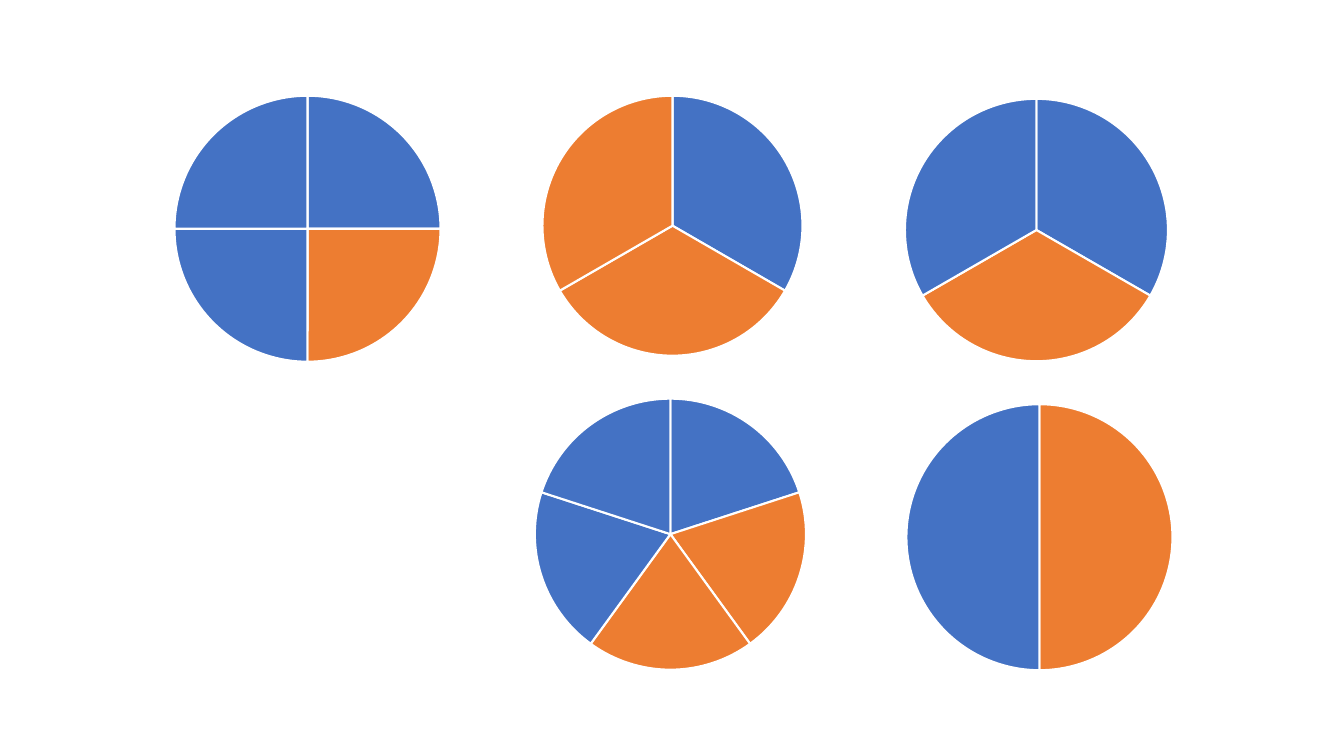
from lxml.etree import SubElement
from pptx import Presentation
from pptx.chart.data import CategoryChartData as ChartData
from pptx.dml.color import RGBColor
from pptx.enum.chart import XL_CHART_TYPE as Kind
from pptx.oxml.ns import qn
from pptx.util import Inches, Pt

BLUE, ORANGE, WHITE, BLACK = "4472C4", "ED7D31", "FFFFFF", "000000"
# frame (left, top, width, height), circle (centre x, centre y, diameter), share, slice colours
PIES = [
    ((1.59, 0.79, 2.91, 2.96), (3.05, 2.27, 2.64), 25, [BLUE, ORANGE, BLUE, BLUE]),
    ((5.16, 0.67, 3.02, 2.96), (6.67, 2.24, 2.58), 33, [BLUE, ORANGE, ORANGE]),
    ((8.7, 0.97, 2.99, 2.66), (10.28, 2.28, 2.61), 33, [BLUE, ORANGE, BLUE]),
    ((5.16, 3.82, 2.99, 2.96), (6.65, 5.3, 2.69), 20, [BLUE, ORANGE, ORANGE, BLUE, BLUE]),
    ((8.68, 3.87, 3.25, 2.91), (10.31, 5.33, 2.64), 50, [ORANGE, BLUE]),
]


def color(code):
    return RGBColor.from_string(code)


def place(chart, frame, circle):
    """Set the inner plot area so that the pie fills the given circle."""
    left, top, width, height = frame
    mid_x, mid_y, size = circle
    area = chart._chartSpace.chart.plotArea
    for old in area.findall(qn("c:layout")):
        area.remove(old)
    layout = SubElement(area, qn("c:layout"))
    area.insert(0, layout)
    manual = SubElement(layout, qn("c:manualLayout"))
    parts = {
        "layoutTarget": "inner", "xMode": "edge", "yMode": "edge",
        "x": (mid_x - size / 2 - left) / width,
        "y": (mid_y - size / 2 - top) / height,
        "w": size / width, "h": size / height,
    }
    for name, value in parts.items():
        SubElement(manual, qn("c:" + name)).set("val", str(value))


def add_pie(slide, frame, circle, share, colors):
    data = ChartData()
    data.categories = [str(n + 1) for n in range(len(colors))]
    data.add_series("Series 1", [share] * len(colors))
    chart = slide.shapes.add_chart(Kind.PIE, *map(Inches, frame), data).chart
    chart.has_title = chart.has_legend = False
    chart.font.name = "Calibri"
    chart.font.size = Pt(10)
    chart.font.color.rgb = color(BLACK)
    plot = chart.plots[0]
    plot.vary_by_categories = True
    for n, code in enumerate(colors):
        look = plot.series[0].points[n].format
        look.fill.solid()
        look.fill.fore_color.rgb = color(code)
        look.line.color.rgb = color(WHITE)
        look.line.width = Pt(1.5)
    place(chart, frame, circle)


def main():
    deck = Presentation()
    deck.slide_width, deck.slide_height = Inches(13.33), Inches(7.5)
    slide = deck.slides.add_slide(deck.slide_layouts[6])
    for pie in PIES:
        add_pie(slide, *pie)
    deck.save("out.pptx")


if __name__ == "__main__":
    main()
